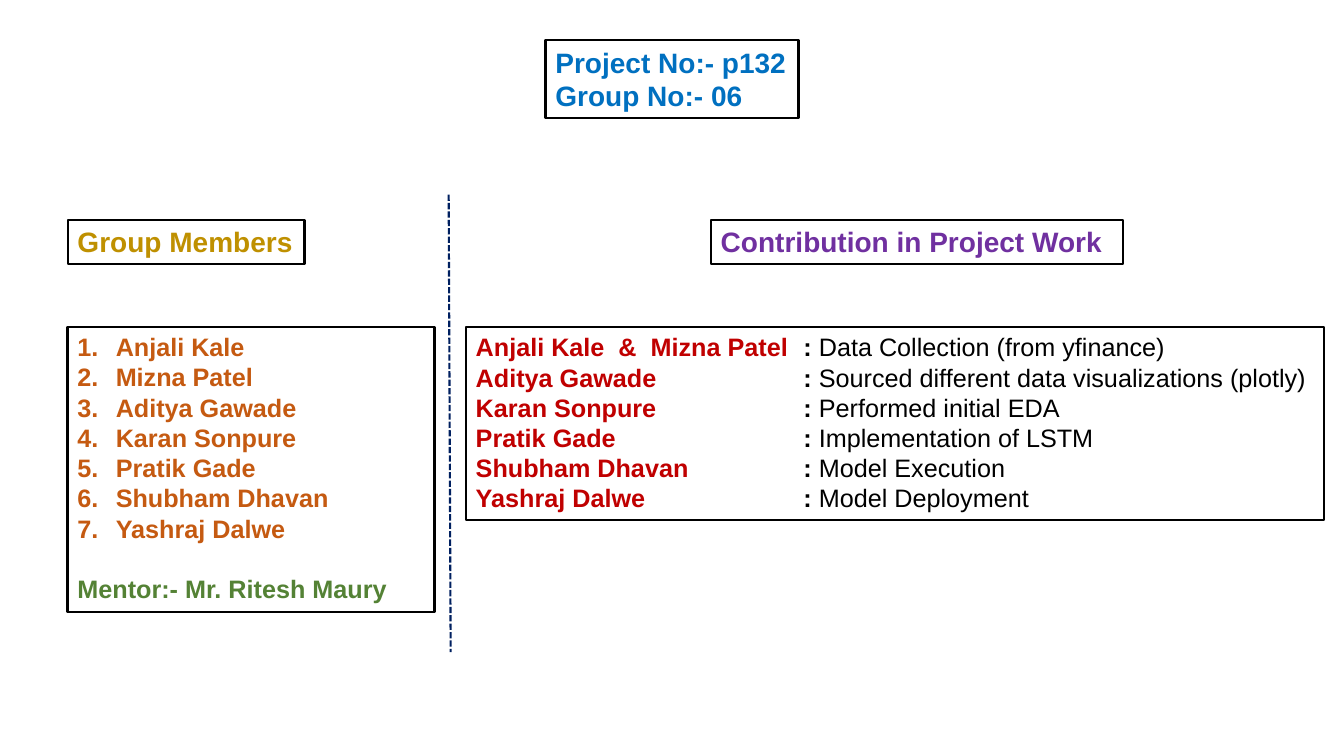
"""Builds the project group slide with its members and contributions."""
from dataclasses import dataclass

from lxml.etree import SubElement as Sub
from pptx import Presentation as Deck
from pptx.dml.color import RGBColor as Rgb
from pptx.enum.dml import MSO_LINE_DASH_STYLE as Dash
from pptx.enum.shapes import MSO_CONNECTOR as Link
from pptx.oxml.ns import qn
from pptx.util import Inches, Pt


@dataclass(frozen=True)
class Theme:
    """Colours and type sizes of the slide."""
    font: str = "Arial"
    head: int = 20
    body: int = 18
    edge: float = 1.5
    black: str = "000000"
    white: str = "FFFFFF"
    blue: str = "0070C0"
    gold: str = "BF9000"
    purple: str = "7030A0"
    orange: str = "C55A11"
    green: str = "548235"
    red: str = "C00000"
    navy: str = "002060"


class Page:
    """Holds the theme and the current slide."""

    def __init__(self, theme, slide):
        """Keep the theme and slide."""
        self.theme = theme
        self.slide = slide

    def box(self, left, top, width, height, fill=None):
        """Add an outlined text box and return its text frame."""
        shape = self.slide.shapes.add_textbox(*map(Inches, (left, top, width, height)))
        if fill:
            shape.fill.solid()
            shape.fill.fore_color.rgb = Rgb.from_string(fill)
        shape.line.color.rgb = Rgb.from_string(self.theme.black)
        shape.line.width = Pt(self.theme.edge)
        shape.text_frame.word_wrap = True
        return shape.text_frame

    def para(self, frame, size, *runs):
        """Add a paragraph of (text, colour, bold) runs."""
        para = frame.paragraphs[0]
        if para.runs:
            para = frame.add_paragraph()
        for text, color, bold in runs:
            run = para.add_run()
            run.text = text
            run.font.name = self.theme.font
            run.font.size = Pt(size)
            run.font.bold = bold
            run.font.color.rgb = Rgb.from_string(color)
        return para

    def title(self, place, color, *lines):
        """Add a boxed heading."""
        frame = self.box(*place, fill=self.theme.white)
        for line in lines:
            self.para(frame, self.theme.head, (line, color, True))

    def roster(self, place, names, mentor):
        """Add the numbered names with the mentor below."""
        frame, look = self.box(*place), self.theme
        for name in names:
            para = self.para(frame, look.body, (name, look.orange, True))
            props = para._p.get_or_add_pPr()
            props.set("marL", str(Inches(0.38)))
            props.set("indent", str(-Inches(0.38)))
            Sub(props, qn("a:buFont"), typeface="+mj-lt")
            Sub(props, qn("a:buAutoNum"), type="arabicPeriod")
        para = self.para(frame, look.body, (mentor, look.green, True))
        para.space_before = Pt(21.5)

    def duties(self, place, rows, stop):
        """Add names and tasks, aligned at a tab stop."""
        frame, look = self.box(*place), self.theme
        for name, task in rows:
            para = self.para(frame, look.body, (f"{name}\t", look.red, True),
                             (": ", look.black, True), (task, look.black, False))
            tabs = Sub(para._p.get_or_add_pPr(), qn("a:tabLst"))
            Sub(tabs, qn("a:tab"), pos=str(Inches(stop)), algn="l")

    def rule(self, *ends):
        """Add a dashed dividing line."""
        line = self.slide.shapes.add_connector(Link.STRAIGHT, *map(Inches, ends))
        line.line.color.rgb = Rgb.from_string(self.theme.navy)
        line.line.width = Pt(self.theme.edge)
        line.line.dash_style = Dash.SQUARE_DOT
        Sub(line._element.spPr, qn("a:effectLst"))


def main():
    """Build and save the slide."""
    deck = Deck()
    deck.slide_width, deck.slide_height = Inches(13.33), Inches(7.5)
    look = Theme()
    page = Page(look, deck.slides.add_slide(deck.slide_layouts[6]))
    tasks = [
        ("Anjali Kale  &  Mizna Patel", "Data Collection (from yfinance)"),
        ("Aditya Gawade", "Sourced different data visualizations (plotly)"),
        ("Karan Sonpure", "Performed initial EDA"),
        ("Pratik Gade", "Implementation of LSTM"),
        ("Shubham Dhavan", "Model Execution"),
        ("Yashraj Dalwe", "Model Deployment"),
    ]
    names = [name for group, _ in tasks for name in group.split("  &  ")]
    page.roster((0.67, 3.24, 3.64, 2.83), names, "Mentor:- Mr. Ritesh Maury")
    page.title((5.41, 0.4, 2.51, 0.77), look.blue, "Project No:- p132", "Group No:- 06")
    page.title((0.67, 2.18, 2.35, 0.44), look.gold, "Group Members")
    page.duties((4.62, 3.24, 8.51, 1.92), tasks, 3.25)
    page.title((7.05, 2.18, 4.09, 0.44), look.purple, "Contribution in Project Work")
    page.rule(4.45, 1.93, 4.47, 6.47)
    deck.save("out.pptx")


if __name__ == "__main__":
    main()
